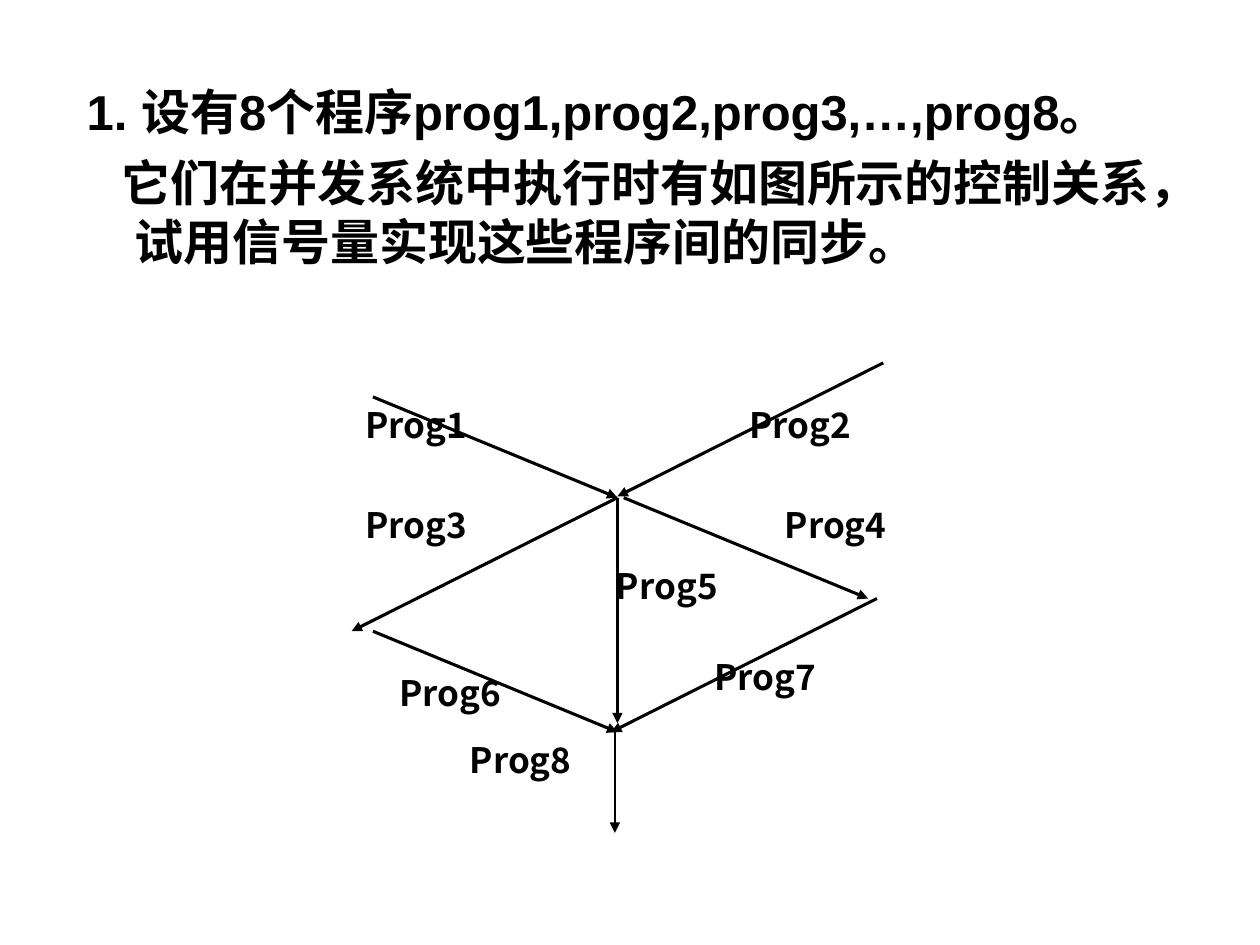
from lxml.etree import SubElement
from pptx import Presentation
from pptx.dml.color import RGBColor
from pptx.enum.shapes import MSO_CONNECTOR
from pptx.enum.text import PP_ALIGN
from pptx.oxml.ns import qn
from pptx.util import Inches, Pt

COLUMNS, ROWS = 100, 75


def color(hex_string):
    return RGBColor.from_string(hex_string)


class SlideBuilder:
    """Draws on one slide; positions are columns and rows of a 100 x 75 grid."""

    ink = "000000"
    question_font = {"name": "Arial", "size": Pt(28), "bold": True}
    label_font = {"name": "Noto Sans CJK SC", "size": Pt(20), "bold": True}

    def __init__(self, presentation):
        self.slide = presentation.slides.add_slide(presentation.slide_layouts[6])
        self.column = presentation.slide_width / COLUMNS
        self.row = presentation.slide_height / ROWS

    def place(self, *pairs):
        """Turn (column, row) pairs into a flat list of lengths."""
        return [round(value * unit) for pair in pairs
                for value, unit in zip(pair, (self.column, self.row))]

    def text_frame(self, position, size):
        frame = self.slide.shapes.add_textbox(*self.place(position, size)).text_frame
        frame.word_wrap = True
        return frame

    def add_text(self, paragraph, text, font_values):
        run = paragraph.add_run()
        run.text = text
        for name, value in font_values.items():
            setattr(run.font, name, value)
        run.font.color.rgb = color(self.ink)
        east_asian = SubElement(run.font._element, qn("a:ea"))
        east_asian.set("typeface", font_values["name"])

    def question(self, position, size, paragraphs):
        """Add (text, first line indent) paragraphs with a hanging margin."""
        frame = self.text_frame(position, size)
        for index, (text, indent) in enumerate(paragraphs):
            paragraph = frame.add_paragraph() if index else frame.paragraphs[0]
            paragraph.space_before = Pt(7)
            properties = paragraph._p.get_or_add_pPr()
            properties.set("marL", str(Inches(0.38)))
            properties.set("indent", str(Inches(indent)))
            self.add_text(paragraph, text, self.question_font)

    def label(self, text, position):
        paragraph = self.text_frame(position, (13.9, 9.3)).paragraphs[0]
        paragraph.alignment = PP_ALIGN.JUSTIFY
        self.add_text(paragraph, text, self.label_font)

    def arrow(self, start, end, width):
        arrow = self.slide.shapes.add_connector(
            MSO_CONNECTOR.STRAIGHT, *self.place(start, end))
        arrow.line.color.rgb = color(self.ink)
        arrow.line.width = Pt(width)
        properties = arrow._element.spPr
        SubElement(properties.find(qn("a:ln")), qn("a:tailEnd")).set("type", "triangle")
        SubElement(properties, qn("a:effectLst"))


def main():
    presentation = Presentation()
    presentation.slide_width, presentation.slide_height = Inches(10), Inches(7.5)
    builder = SlideBuilder(presentation)

    builder.question((5.9, 6), (90, 17.3), [
        ("1. 设有8个程序prog1,prog2,prog3,…,prog8。", -0.38),
        ("它们在并发系统中执行时有如图所示的控制关系，试用信号量实现这些程序间的同步。", -0.1),
    ])

    fork = (49, 39.5)
    falling_right, falling_left = (19.4, 8), (-21.1, 10.6)
    programs = [  # arrow start, arrow span, line width, label position
        ((29.6, 31.5), falling_right, 1.75, (28, 31.5)),
        ((70.1, 28.8), falling_left, 1.75, (58.5, 31.5)),
        (fork, falling_left, 1.75, (28, 39.5)),
        ((49.5, 39.5), falling_right, 1.75, (61.3, 39.5)),
        (fork, (0, 17.9), 1.75, (47.9, 44.3)),
        ((29.6, 50.1), falling_right, 1.75, (30.7, 52.8)),
        ((69.6, 47.5), falling_left, 1.75, (55.7, 51.5)),
        ((48.8, 58.1), (0, 8), 0.75, (36.3, 58.1)),
    ]
    for (left, top), (across, down), width, _ in programs:
        builder.arrow((left, top), (left + across, top + down), width)
    for number, (*_, label_position) in enumerate(programs, start=1):
        builder.label(f"Prog{number}", label_position)

    presentation.save("out.pptx")


if __name__ == "__main__":
    main()
